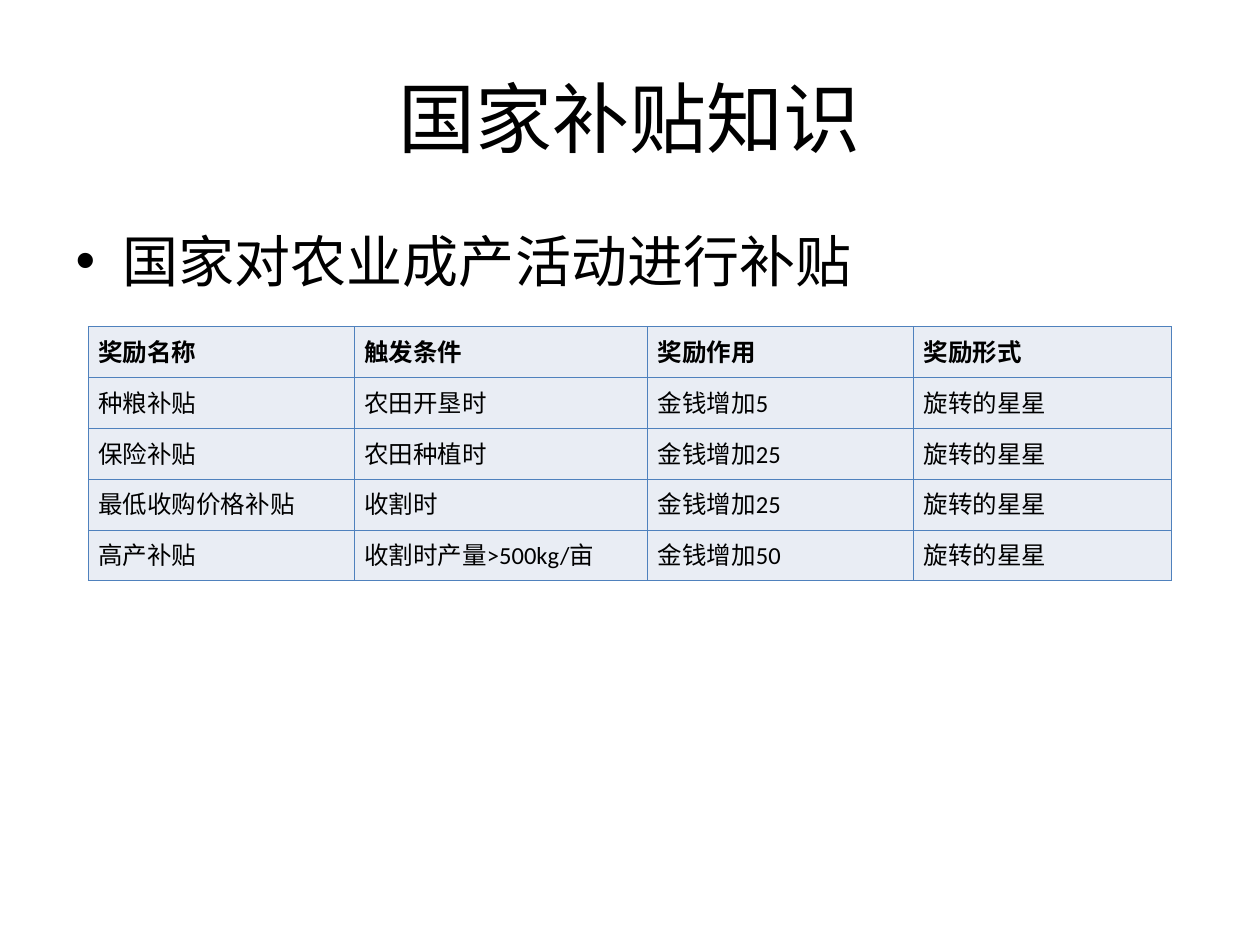
from lxml import etree
from pptx import Presentation
from pptx.dml.color import RGBColor
from pptx.enum import text
from pptx.oxml import ns
from pptx.util import Inches, Pt

BLACK = RGBColor(0x00, 0x00, 0x00)
BLUE = RGBColor(0x4F, 0x81, 0xBD)
PALE = RGBColor(0xE9, 0xED, 0xF4)
FONT = "Calibri"

WIDTHS = (2.11, 2.33, 2.11, 2.05)
ROWS = (
    ("奖励名称", "触发条件", "奖励作用", "奖励形式"),
    ("种粮补贴", "农田开垦时", "金钱增加5", "旋转的星星"),
    ("保险补贴", "农田种植时", "金钱增加25", "旋转的星星"),
    ("最低收购价格补贴", "收割时", "金钱增加25", "旋转的星星"),
    ("高产补贴", "收割时产量>500kg/亩", "金钱增加50", "旋转的星星"),
)


def write(frame, words, size, bold=False):
    """Set one paragraph of text and return it."""
    frame.text = words
    para = frame.paragraphs[0]
    font = para.runs[0].font
    font.name, font.size, font.bold = FONT, Pt(size), bold
    font.color.rgb = BLACK
    return para


def place(shape, box):
    shape.left, shape.top, shape.width, shape.height = map(Inches, box)


def add_title(slide, box):
    title = slide.shapes.title
    place(title, box)
    title.text_frame.vertical_anchor = text.MSO_ANCHOR.MIDDLE
    para = write(title.text_frame, "国家补贴知识", 44)
    para.alignment = text.PP_ALIGN.CENTER


def add_body(slide, box):
    body = slide.placeholders[1]
    place(body, box)
    para = write(body.text_frame, "国家对农业成产活动进行补贴", 32)
    para.space_before = Pt(8)


def add_border(cell):
    props = cell._tc.get_or_add_tcPr()
    for side in ("a:lnL", "a:lnR", "a:lnT", "a:lnB"):
        line = etree.SubElement(props, ns.qn(side), w=str(Pt(0.45)))
        fill = etree.SubElement(line, ns.qn("a:solidFill"))
        etree.SubElement(fill, ns.qn("a:srgbClr"), val=str(BLUE))


def fill_cell(cell, words, bold):
    add_border(cell)
    cell.fill.solid()
    cell.fill.fore_color.rgb = PALE
    cell.margin_left = cell.margin_right = Inches(0.08)
    cell.margin_top = cell.margin_bottom = Inches(0.05)
    para = write(cell.text_frame, words, 14, bold)
    para.alignment = text.PP_ALIGN.JUSTIFY
    para.space_before = para.space_after = Pt(6)


def add_grants(slide, box):
    """Add the table of subsidies."""
    frame = slide.shapes.add_table(len(ROWS), len(WIDTHS), *map(Inches, box))
    table = frame.table
    for col, width in zip(table.columns, WIDTHS):
        col.width = Inches(width)
    for r, row in enumerate(ROWS):
        for c, words in enumerate(row):
            fill_cell(table.cell(r, c), words, bold=r == 0)


def main():
    deck = Presentation()
    deck.slide_width, deck.slide_height = Inches(10), Inches(7.5)
    slide = deck.slides.add_slide(deck.slide_layouts[1])
    add_title(slide, (0.5, 0.3, 9, 1.25))
    add_body(slide, (0.5, 1.75, 9, 4.95))
    add_grants(slide, (0.7, 2.59, sum(WIDTHS), 2.02))
    deck.save("out.pptx")


if __name__ == "__main__":
    main()
